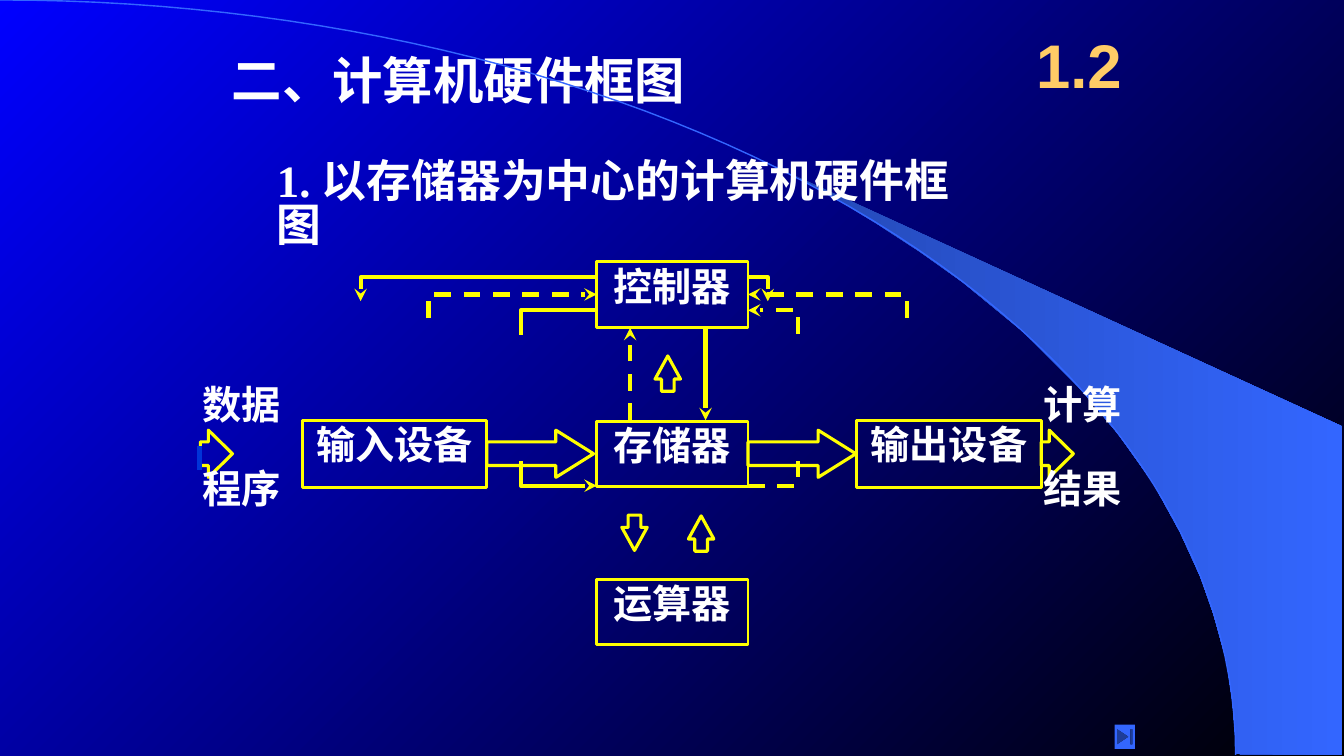
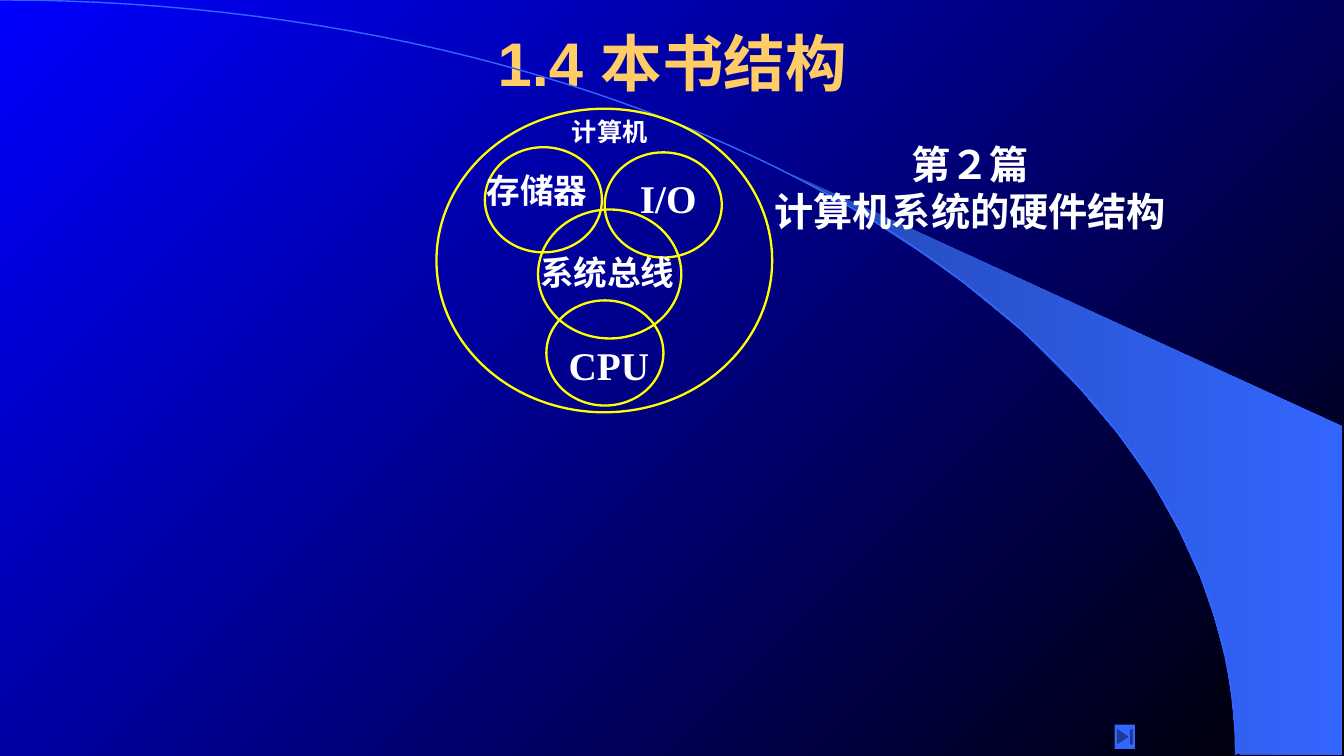
from math import cos, pi, sin

from lxml.etree import SubElement
from pptx import Presentation
from pptx.dml.color import RGBColor
from pptx.enum.dml import MSO_LINE
from pptx.enum.shapes import MSO_CONNECTOR, MSO_SHAPE
from pptx.enum.text import MSO_ANCHOR, MSO_AUTO_SIZE, PP_ALIGN
from pptx.oxml.ns import qn
from pptx.util import Cm, Pt

BLUE = RGBColor(0x00, 0x00, 0xFF)
BLACK = RGBColor(0x00, 0x00, 0x00)
WHITE = RGBColor(0xFF, 0xFF, 0xFF)
YELLOW = RGBColor(0xFF, 0xFF, 0x00)
GOLD = RGBColor(0xFF, 0xCC, 0x66)
ACCENT = RGBColor(0x33, 0x66, 0xFF)
DEEP = RGBColor(0x24, 0x49, 0xB6)
ROYAL = RGBColor(0x00, 0x33, 0xD8)
CJK, SERIF, SANS = "Noto Sans CJK SC", "Times New Roman", "Arial"
TITLE = {"size": 44, "name": SANS, "color": GOLD, "anchor": MSO_ANCHOR.MIDDLE}
ARC_W, ARC_H, ARC_STEPS = 31.14, 19.02, 60
WEDGE = [
    (31.17, 19), (33.81, 19.02), (33.81, 10.74), (19.96, 4.39), (21.13, 5.05),
    (22.1, 5.64), (23.19, 6.35), (24.26, 7.11), (25.81, 8.38), (27.18, 9.75),
    (28.19, 10.95), (29.06, 12.17), (29.74, 13.41), (30.25, 14.53),
    (30.58, 15.47), (30.91, 16.66), (31.06, 17.68),
]


def gradient(fill, colors, angle):
    """Fill with an even two-colour gradient."""
    fill.gradient()
    fill.gradient_angle = angle
    for stop, color, position in zip(fill.gradient_stops, colors, (0, 1)):
        stop.color.rgb = color
        stop.position = position


class Deck:
    """Hold the shared style and the current slide."""

    def __init__(self):
        """Set the slide size and the common background."""
        self.prs = Presentation()
        self.prs.slide_width, self.prs.slide_height = Cm(33.87), Cm(19.05)
        gradient(self.prs.slide_master.background.fill, (BLUE, BLACK), 315)

    def start(self):
        """Add a slide with the wedge and the arc."""
        self.s = self.prs.slides.add_slide(self.prs.slide_layouts[5])
        wedge = self.outline(WEDGE, close=True)
        gradient(wedge.fill, (DEEP, ACCENT), 0)
        wedge.line.fill.background()
        angles = [pi / 2 * i / ARC_STEPS for i in range(ARC_STEPS + 1)]
        arc = [(ARC_W * sin(a), ARC_H * (1 - cos(a))) for a in angles]
        self.stroke(self.outline(arc), 1, ACCENT)

    def outline(self, points, close=False):
        """Draw an unfilled outline through the points."""
        emu = [(Cm(x), Cm(y)) for x, y in points]
        builder = self.s.shapes.build_freeform(*emu[0], scale=1.0)
        builder.add_line_segments(emu[1:], close=close)
        sp = builder.convert_to_shape()
        sp.shadow.inherit = False
        sp.fill.background()
        return sp

    def stroke(self, sp, width, color=YELLOW, dash=False, arrow=False):
        """Style a line."""
        sp.line.color.rgb = color
        sp.line.width = Pt(width)
        if dash:
            sp.line.dash_style = MSO_LINE.DASH
        if arrow:
            ln = sp.line._get_or_add_ln()
            SubElement(ln, qn("a:tailEnd"), type="stealth")

    def wire(self, points, **style):
        """Draw a bent signal line."""
        self.stroke(self.outline(points), 3, **style)

    def line(self, start, end, **style):
        """Draw a straight line."""
        x1, y1, x2, y2 = (Cm(v) for v in start + end)
        sp = self.s.shapes.add_connector(MSO_CONNECTOR.STRAIGHT, x1, y1, x2, y2)
        self.stroke(sp, 3, **style)
        SubElement(sp._element.spPr, qn("a:effectLst"))

    def shape(self, kind, box, width=2.25, head=None, rotation=0):
        """Draw an outlined preset shape."""
        sp = self.s.shapes.add_shape(kind, *(Cm(v) for v in box))
        sp.shadow.inherit = False
        sp.fill.background()
        sp.rotation = rotation
        if head:
            sp.adjustments[0], sp.adjustments[1] = 0.5, head
        self.stroke(sp, width)
        return sp

    def block(self, text, box, width):
        """Draw a labelled unit."""
        sp = self.shape(MSO_SHAPE.RECTANGLE, box, width)
        self.set_text(sp, text, align=PP_ALIGN.CENTER)

    def text(self, text, box, **style):
        """Add a text box."""
        sp = self.s.shapes.add_textbox(*(Cm(v) for v in box))
        self.set_text(sp, text, **style)

    def title(self, text, box, **style):
        """Place and fill the title."""
        sp = self.s.shapes.title
        sp.left, sp.top, sp.width, sp.height = (Cm(v) for v in box)
        self.set_text(sp, text, **style)

    def set_text(self, sp, text, size=28, name=CJK, color=WHITE, wrap=True,
                 align=PP_ALIGN.LEFT, anchor=MSO_ANCHOR.TOP, inset=True):
        """Put formatted paragraphs into a shape."""
        wide = any(c > "⺀" for c in text)
        drop = 0.18 if anchor == MSO_ANCHOR.MIDDLE else 0.09
        side, top = (Cm(0.25), Cm(0.13)) if inset else (0, 0)
        frame = {
            "auto_size": MSO_AUTO_SIZE.NONE, "word_wrap": wrap,
            "vertical_anchor": anchor, "margin_left": side,
            "margin_right": side, "margin_bottom": top,
            "margin_top": top + (Pt(size * drop) if wide else 0),
        }
        tf = sp.text_frame
        for key, value in frame.items():
            setattr(tf, key, value)
        for i, words in enumerate(text.split("\n")):
            p = tf.add_paragraph() if i else tf.paragraphs[0]
            p.alignment = align
            p.space_before = Pt(size * 0.2 if i else 0)
            p.line_spacing = 0.82 if wide else 1.0
            r = p.add_run()
            r.text = words
            for key, value in {"name": name, "size": Pt(size), "bold": True}.items():
                setattr(r.font, key, value)
            r.font.color.rgb = color
            SubElement(r._r.get_or_add_rPr(), qn("a:ea"), typeface=CJK)

    def end_button(self):
        """Add the jump-to-end button."""
        sp = self.shape(MSO_SHAPE.ACTION_BUTTON_END, (28.09, 18.26, 0.51, 0.61))
        sp.fill.solid()
        sp.fill.fore_color.rgb = ACCENT
        sp.line.fill.background()


def hardware(d):
    """Build the hardware block diagram."""
    d.start()
    d.title("二、计算机硬件框图", (5.59, 1.27, 17.91, 1.78), size=36)
    d.text("1.2", (25.6, 0.43, 3.18, 2.34), align=PP_ALIGN.CENTER, **TITLE)
    d.text("1. 以存储器为中心的计算机硬件框图", (6.73, 3.86, 18.2, 1.6),
           size=32, name=SERIF)

    left, right = 15.04, 18.85
    for unit, y in (("控制器", 6.6), ("存储器", 10.62), ("运算器", 14.6)):
        d.block(unit, (left, y, right - left, 1.65), 2)
    for unit, x, width in (("输入设备", 7.62, 2.25), ("输出设备", 21.59, 2)):
        d.block(unit, (x, 10.59, 4.65, 1.7), width)

    for x, w, head in ((5.05, 0.81, 0.75), (12.27, 2.69, 0.8),
                       (right, 2.72, 0.8), (26.24, 0.81, 0.75)):
        d.shape(MSO_SHAPE.RIGHT_ARROW, (x, 10.84, w, 1.19), head=head)
    for x, y, turn in ((16.51, 8.97, 0), (17.35, 13, 0), (15.67, 12.98, 180)):
        d.shape(MSO_SHAPE.UP_ARROW, (x, y, 0.64, 0.89), head=0.91, rotation=turn)

    d.line((15.88, 10.59), (15.88, 8.26), dash=True, arrow=True)
    d.line((17.78, 8.26), (17.78, 10.59), arrow=True)
    d.wire([(13.13, 8.43), (13.13, 7.82), (left, 7.82)])
    d.wire([(13.13, 11.63), (13.13, 12.24), (left, 12.24)], arrow=True)
    d.wire([(right, 12.24), (20.12, 12.24), (20.12, 11.63)], dash=True)
    for x, y, side in ((20.12, 7.82, right), (10.8, 7.42, left), (22.86, 7.42, right)):
        d.wire([(x, y + 0.6), (x, y), (side, y)], dash=True, arrow=True)
    for side, x in ((left, 9.09), (right, 19.35)):
        d.wire([(side, 6.99), (x, 6.99), (x, 7.59)], arrow=True)

    for x, words in ((4.86, ("数据", "程序")), (26.04, ("计算", "结果"))):
        for y, word in zip((9.58, 11.68), words):
            d.text(word, (x, y, 2.5, 1.45), wrap=False)
    d.line((5.03, 11.23), (5.03, 11.84), color=ROYAL)
    d.end_button()


def structure(d):
    """Build the book structure slide."""
    d.start()
    d.title("1.4 本书结构", (6.15, 0, 21.59, 3.18), align=PP_ALIGN.CENTER, **TITLE)
    d.text("第２篇\n计算机系统的硬件结构", (19.18, 3.53, 10.54, 2.9),
           wrap=False, align=PP_ALIGN.CENTER)
    for box in ((13.56, 5.28, 3.61, 3.25), (12.22, 3.71, 2.95, 2.65),
                (15.24, 3.84, 2.95, 2.65), (13.77, 7.57, 2.95, 2.65),
                (11, 2.74, 8.46, 7.65)):
        d.shape(MSO_SHAPE.OVAL, box, 1.63)
    for label, box, size, name in (
        ("计算机", (14.4, 3, 1.93, 0.76), 18, CJK),
        ("I/O", (15.8, 4.39, 2.08, 1.19), 28, SERIF),
        ("系统总线", (13.59, 6.45, 3.43, 1.02), 24, CJK),
        ("存储器", (12.24, 4.39, 2.59, 1.02), 24, CJK),
        ("CPU", (14.33, 8.59, 2.03, 1.19), 28, SERIF),
    ):
        d.text(label, box, size=size, name=name, wrap=False,
               align=PP_ALIGN.CENTER, inset=False)
    d.end_button()


def main():
    """Build and save the slides."""
    d = Deck()
    hardware(d)
    structure(d)
    d.prs.save("out.pptx")


if __name__ == "__main__":
    main()
